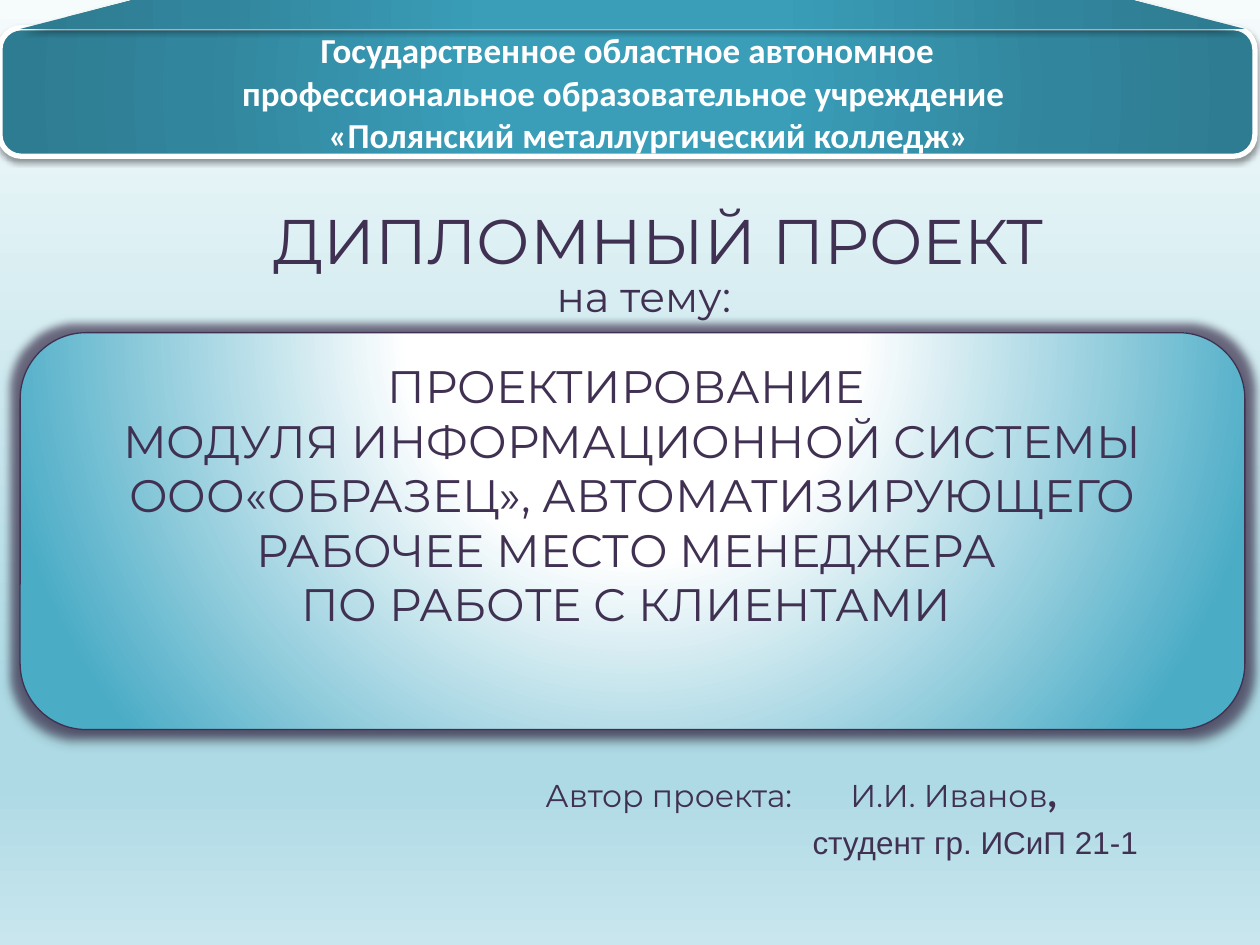
from dataclasses import dataclass

from lxml.etree import SubElement as Sub
from pptx import Presentation
from pptx.dml.color import RGBColor as RGB
from pptx.enum.shapes import MSO_SHAPE as Form
from pptx.enum.text import MSO_ANCHOR as Anchor, PP_ALIGN as Align
from pptx.oxml.ns import qn
from pptx.util import Inches, Pt


@dataclass(frozen=True)
class Theme:
    ink: str = "403152"
    white: str = "FFFFFF"
    black: str = "000000"
    sky: tuple = ((0, "F6FBFC"), (74, "AEDAE5"), (83, "AEDAE5"), (100, "C9E6EE"))
    teal: tuple = ((0, "3A9EB9"), (23, "3A9EB9"), (69, "31859C"), (97, "2E7C91"))
    card: tuple = ((0, "FFFFFF"), (35, "FFFFFF"), (100, "4BACC6"))
    font: str = "Montserrat"
    head: str = "Calibri"
    plain: str = "Arial"
    big: int = 36
    topic: int = 26
    mid: int = 24
    bar: int = 20
    small: int = 18


T = Theme()


def tint(node, color, alpha=100):
    """Add a colour with its opacity in percent."""
    clr = Sub(node, qn("a:srgbClr"), val=color)
    if alpha < 100:
        Sub(clr, qn("a:alpha"), val=str(alpha * 1000))


def blend(owner, root, stops, focus=None):
    """Gradient: downward, or circular around the focus (l, t, r, b in percent)."""
    owner.fill.gradient()
    grad = root.find(".//" + qn("a:gradFill"))
    for kid in list(grad):
        grad.remove(kid)
    group = Sub(grad, qn("a:gsLst"))
    for pos, color in stops:
        tint(Sub(group, qn("a:gs"), pos=str(pos * 1000)), color)
    if focus is None:
        Sub(grad, qn("a:lin"), ang="5400000", scaled="0")
    else:
        ring = Sub(grad, qn("a:path"), path="circle")
        sides = {side: str(num * 1000) for side, num in zip("ltrb", focus)}
        Sub(ring, qn("a:fillToRect"), **sides)


def shade(box, color, alpha, blur, dist, angle=90):
    """Add an outer shadow to an effect list."""
    drop = Sub(box, qn("a:outerShdw"), blurRad=str(Pt(blur)), dist=str(Pt(dist)),
               dir=str(angle * 60000), rotWithShape="0")
    tint(drop, color, alpha)


def write(para, text, size=T.small, font=T.font, color=T.ink, bold=False,
          italic=False, align=Align.CENTER, before=0):
    """Add a run to a paragraph."""
    para.alignment = align
    para.space_before = Pt(before)
    run = para.add_run()
    run.text = text
    face = run.font
    face.size, face.name, face.bold, face.italic = Pt(size), font, bold, italic
    face.color.rgb = RGB.from_string(color)
    return run


def lines(frame, texts, **style):
    """Write one paragraph per text and return the paragraphs."""
    frame.word_wrap = True
    paras = [frame.paragraphs[0]] + [frame.add_paragraph() for _ in texts[1:]]
    for para, text in zip(paras, texts):
        write(para, text, **style)
    return paras


def block(slide, form, box, stops, focus, line=None, width=1, glow=None, alpha=38):
    """Gradient shape with a soft shadow; box is left, top, width, height."""
    shape = slide.shapes.add_shape(form, *map(Inches, box))
    blend(shape, shape.element.spPr, stops, focus)
    if line:
        shape.line.color.rgb = RGB.from_string(line)
        shape.line.width = Pt(width)
    else:
        shape.line.fill.background()
    shape.shadow.inherit = False
    fx = shape.element.spPr.find(qn("a:effectLst"))
    if glow:
        tint(Sub(fx, qn("a:glow"), rad=str(Inches(0.14))), glow, 60)
    shade(fx, T.black, alpha, 3.1, 1.6)
    return shape


def place(shape, box):
    shape.left, shape.top, shape.width, shape.height = map(Inches, box)


def titles(slide, box):
    """Title with a text shadow, and the subtitle below it."""
    x, y, w, h = box
    title, sub = slide.shapes.title, slide.placeholders[1]
    place(title, box)
    title.text_frame.vertical_anchor = Anchor.MIDDLE
    para = lines(title.text_frame, ["ДИПЛОМНЫЙ ПРОЕКТ"], size=T.big)[0]
    props = para.runs[0].font
    fx = Sub(para.runs[0]._r.get_or_add_rPr(), qn("a:effectLst"))
    shade(fx, T.black, 43, 3, 3, 45)
    props.name = None  # the typeface must follow the effects
    props.name = T.font
    place(sub, (x + 0.63, y + 0.71, 7, 0.71))
    sub.text_frame.vertical_anchor = Anchor.TOP
    lines(sub.text_frame, ["на тему:"], size=T.mid, before=5)


def banner(slide, box):
    """School name on a bar with a slanted top edge."""
    x, y, w, h = box
    mid = (50, 50, 50, 50)
    bar = block(slide, Form.ROUNDED_RECTANGLE, (x, y, w, h), T.teal, mid, T.white, 3)
    bar.text_frame.vertical_anchor = Anchor.MIDDLE
    names = ["Государственное областное автономное",
             "профессиональное образовательное учреждение ",
             "«Полянский металлургический колледж»"]
    paras = lines(bar.text_frame, names, size=T.bar, font=T.head,
                  color=T.white, bold=True)
    paras[-1]._p.get_or_add_pPr().set("indent", str(Inches(0.34)))
    lid = block(slide, Form.TRAPEZOID, (x + 0.16, y - 0.22, 9.72, 0.23), T.teal,
                mid, alpha=35)
    lid.adjustments[0] = 3.9


def topic(slide, box):
    """Rounded card with the subject of the project."""
    card = block(slide, Form.ROUNDED_RECTANGLE, box, T.card, (50, -80, 50, 180),
                 T.ink, 0.75, glow=T.ink)
    card.text_frame.vertical_anchor = Anchor.TOP
    lines(card.text_frame, [
        "ПРОЕКТИРОВАНИЕ ",
        "МОДУЛЯ ИНФОРМАЦИОННОЙ СИСТЕМЫ ООО«ОБРАЗЕЦ», АВТОМАТИЗИРУЮЩЕГО "
        "РАБОЧЕЕ МЕСТО МЕНЕДЖЕРА ",
        "ПО РАБОТЕ С КЛИЕНТАМИ "], size=T.topic)


def author(slide, box):
    """Author and group, set on tab stops."""
    frame = slide.shapes.add_textbox(*map(Inches, box)).text_frame
    frame.word_wrap = True
    first, last = frame.paragraphs[0], frame.add_paragraph()
    style = dict(align=Align.LEFT, before=4)
    write(first, "\tАвтор проекта:\tИ.И. Иванов", **style)
    write(first, ",", size=T.mid, font=T.head, bold=True, italic=True, **style)
    write(last, "\tстудент гр. ИСиП 21-1", font=T.plain, **style)
    for para, stops in ((first, (1.57, 3.99)), (last, (3.69,))):
        tabs = Sub(para._p.get_or_add_pPr(), qn("a:tabLst"))
        for stop in stops:
            Sub(tabs, qn("a:tab"), pos=str(Inches(stop)), algn="l")


def main():
    deck = Presentation()
    deck.slide_width, deck.slide_height = Inches(10), Inches(7.5)
    slide = deck.slides.add_slide(deck.slide_layouts[0])
    blend(slide.background, slide.element, T.sky)
    titles(slide, (0.98, 1.39, 8.5, 1.02))
    banner(slide, (0, 0.22, 9.96, 1.02))
    topic(slide, (0.16, 2.64, 9.72, 3.15))
    author(slide, (2.66, 6.03, 7.22, 0.87))
    deck.save("out.pptx")


if __name__ == "__main__":
    main()
